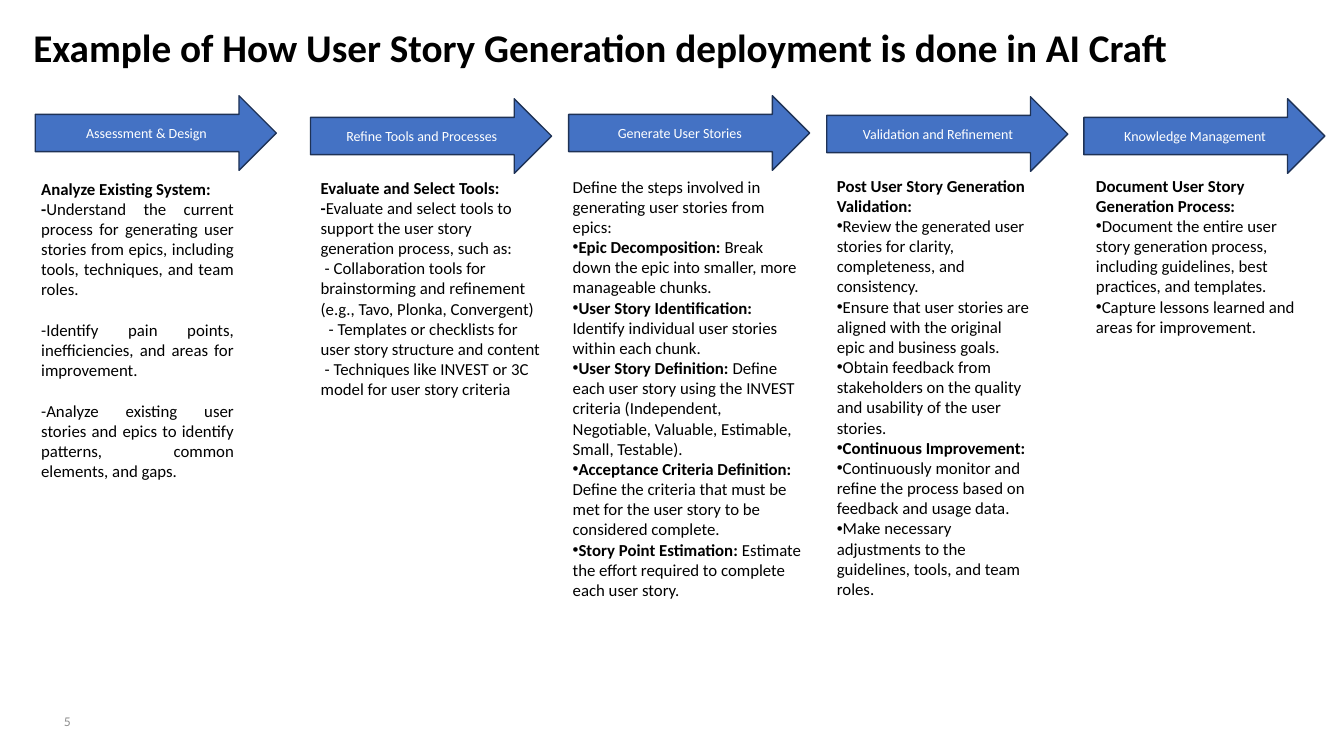
from dataclasses import dataclass

from pptx import Presentation
from pptx.dml.color import RGBColor
from pptx.enum.shapes import MSO_SHAPE
from pptx.enum.text import MSO_ANCHOR as Anchor, MSO_AUTO_SIZE as AutoSize, PP_ALIGN as Align
from pptx.oxml.xmlchemy import OxmlElement
from pptx.util import Inches, Pt

ARROW_BLUE, ARROW_EDGE = "4472C4", "1E3256"
ARROW_WIDTH, ARROW_HEIGHT = 2.39, 0.74


@dataclass(frozen=True)
class Line:
    text: str
    bullet: bool = False
    gap: float = 0
    indent: float = 0


@dataclass(frozen=True)
class Stage:
    name: str
    arrow: tuple[float, float]
    box: tuple[float, float, float, float]
    lines: list[Line]
    align: Align = Align.LEFT


def bullets(*texts: str) -> list[Line]:
    return [Line(text, bullet=True) for text in texts]


STAGES = [
    Stage("Assessment & Design", (0.35, 0.95), (0.31, 1.72, 2.11, 3.13), [
        Line("**Analyze Existing System:**"),
        Line("**-**Understand the current process for generating user stories from epics, "
             "including tools, techniques, and team roles."),
        Line("-Identify pain points, inefficiencies, and areas for improvement.", gap=14.6),
        Line("-Analyze existing user stories and epics to identify patterns, "
             "common elements, and gaps.", gap=14.6),
    ], Align.JUSTIFY),
    Stage("Refine Tools and Processes", (3.08, 0.98), (3.08, 1.71, 2.39, 2.32), [
        Line("**Evaluate and Select Tools:**"),
        Line("**-**Evaluate and select tools to support the user story generation process, such as:"),
        Line("- Collaboration tools for brainstorming and refinement "
             "(e.g., Tavo, Plonka, Convergent)", indent=0.04),
        Line("- Templates or checklists for user story structure and content", indent=0.08),
        Line("- Techniques like INVEST or 3C model for user story criteria", indent=0.04),
    ]),
    Stage("Generate User Stories", (5.64, 0.95), (5.58, 1.7, 2.48, 4.34), [
        Line("Define the steps involved in generating user stories from epics:"),
        *bullets(
            "**Epic Decomposition:** Break down the epic into smaller, more manageable chunks.",
            "**User Story Identification:** Identify individual user stories within each chunk.",
            "**User Story Definition:** Define each user story using the INVEST criteria "
            "(Independent, Negotiable, Valuable, Estimable, Small, Testable).",
            "**Acceptance Criteria Definition:** Define the criteria that must be met "
            "for the user story to be considered complete.",
            "**Story Point Estimation:** Estimate the effort required to complete each user story.",
        ),
    ]),
    Stage("Validation and Refinement", (8.2, 0.96), (8.2, 1.69, 2.15, 4.34), [
        Line("**Post User Story Generation Validation:**"),
        *bullets(
            "Review the generated user stories for clarity, completeness, and consistency.",
            "Ensure that user stories are aligned with the original epic and business goals.",
            "Obtain feedback from stakeholders on the quality and usability of the user stories.",
            "**Continuous Improvement:**",
            "Continuously monitor and refine the process based on feedback and usage data.",
            "Make necessary adjustments to the guidelines, tools, and team roles.",
        ),
    ]),
    Stage("Knowledge Management", (10.75, 0.98), (10.77, 1.69, 2.26, 1.72), [
        Line("**Document User Story Generation Process:**"),
        *bullets(
            "Document the entire user story generation process, including guidelines, "
            "best practices, and templates.",
            "Capture lessons learned and areas for improvement.",
        ),
    ]),
]


def rgb(value: str) -> RGBColor:
    return RGBColor.from_string(value)


def place(shape, left: float, top: float, width: float, height: float) -> None:
    shape.left, shape.top = Inches(left), Inches(top)
    shape.width, shape.height = Inches(width), Inches(height)


def write(paragraph, text: str, *, size: float, color: str = "000000",
          font: str = "Calibri", align: Align = Align.LEFT) -> None:
    paragraph.alignment = align
    for position, part in enumerate(text.split("**")):
        if part:
            run = paragraph.add_run()
            run.text = part
            run.font.size, run.font.name = Pt(size), font
            run.font.bold = position % 2 == 1
            run.font.color.rgb = rgb(color)


def prepare_frame(shape, anchor: Anchor):
    frame = shape.text_frame
    frame.word_wrap, frame.auto_size, frame.vertical_anchor = True, AutoSize.NONE, anchor
    return frame


def set_bullet(paragraph, line: Line) -> None:
    properties = paragraph._p.get_or_add_pPr()
    properties.set("marL", "0")
    properties.set("indent", str(Inches(line.indent)))
    mark = OxmlElement("a:buChar" if line.bullet else "a:buNone")
    if line.bullet:
        mark.set("char", "•")
    properties.append(mark)


def fill_list(shape, stage: Stage) -> None:
    place(shape, *stage.box)
    frame = prepare_frame(shape, Anchor.TOP)
    for number, line in enumerate(stage.lines):
        paragraph = frame.add_paragraph() if number else frame.paragraphs[0]
        write(paragraph, line.text, size=12, align=stage.align)
        paragraph.space_before = Pt(line.gap)
        set_bullet(paragraph, line)


def add_arrow(slide, stage: Stage) -> None:
    left, top = stage.arrow
    arrow = slide.shapes.add_shape(MSO_SHAPE.RIGHT_ARROW, Inches(left), Inches(top),
                                   Inches(ARROW_WIDTH), Inches(ARROW_HEIGHT))
    arrow.shadow.inherit = False
    arrow.fill.solid()
    arrow.fill.fore_color.rgb = rgb(ARROW_BLUE)
    arrow.line.color.rgb = rgb(ARROW_EDGE)
    arrow.line.width = Pt(1)
    frame = prepare_frame(arrow, Anchor.MIDDLE)
    write(frame.paragraphs[0], stage.name, size=10, color="FFFFFF", align=Align.CENTER)


def add_title(slide, text: str) -> None:
    title = slide.shapes.title
    place(title, 0.33, 0.12, 12.5, 0.74)
    frame = prepare_frame(title, Anchor.MIDDLE)
    frame.margin_left = 0
    write(frame.paragraphs[0], f"**{text}**", size=28)
    frame.paragraphs[0].line_spacing = 0.9


def add_page_number(slide, number: str) -> None:
    box = slide.shapes.add_textbox(Inches(0.21), Inches(7), Inches(0.59), Inches(0.33))
    frame = prepare_frame(box, Anchor.MIDDLE)
    write(frame.paragraphs[0], number, size=8.5, color="8C8C8C", font="Lato", align=Align.RIGHT)


def main() -> None:
    """Build the user story deployment slide and save it."""
    presentation = Presentation()
    presentation.slide_width, presentation.slide_height = Inches(13.33), Inches(7.5)
    slide = presentation.slides.add_slide(presentation.slide_layouts.get_by_name("Comparison"))
    add_title(slide, "Example of How User Story Generation deployment is done in AI Craft")
    add_page_number(slide, "5")
    first_box = slide.shapes.add_textbox(0, 0, 0, 0)
    bodies = [slide.placeholders[index] for index in range(1, 5)]
    for shape, stage in zip([first_box, *bodies], STAGES):
        fill_list(shape, stage)
        add_arrow(slide, stage)
    presentation.save("out.pptx")


if __name__ == "__main__":
    main()
